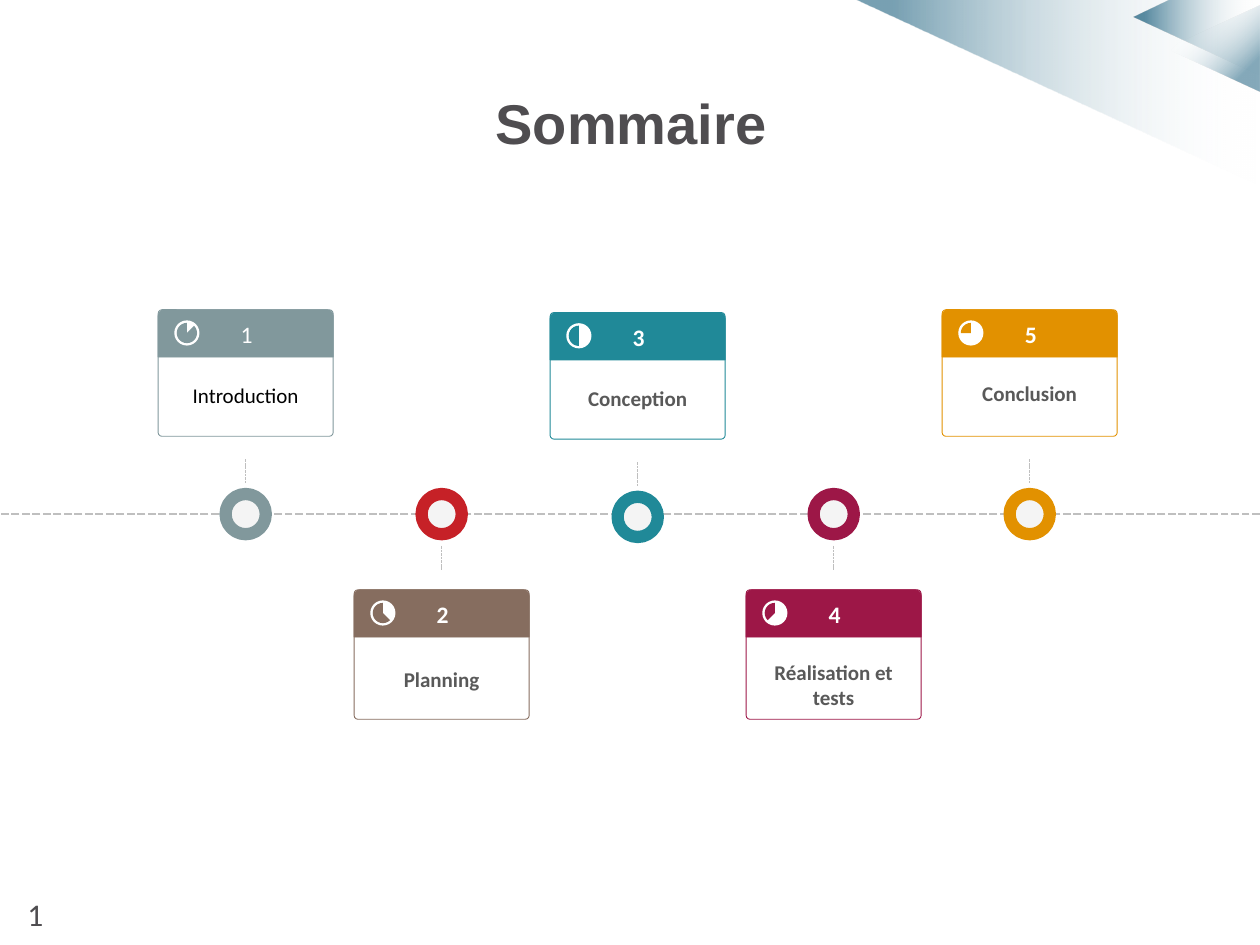
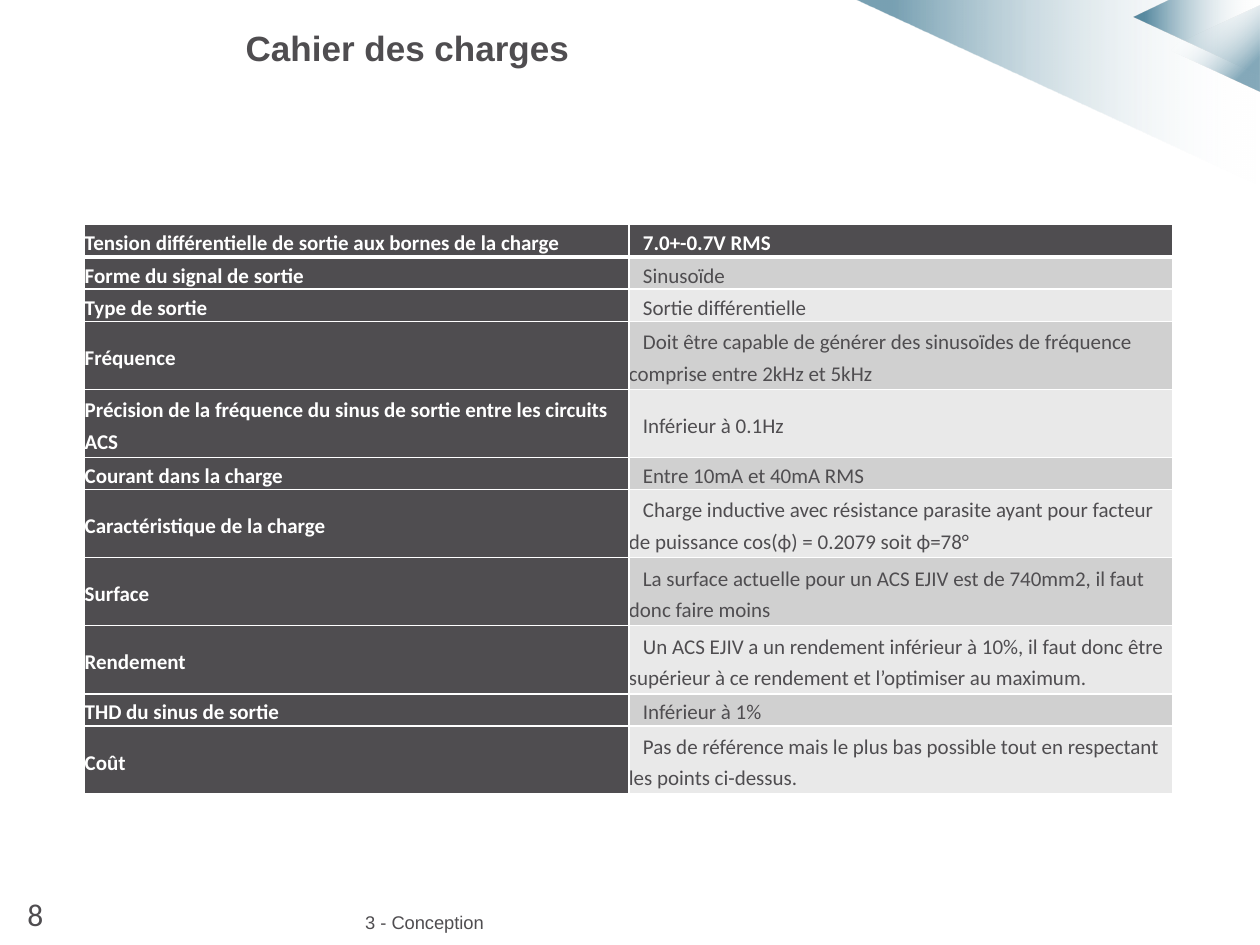
from lxml import etree
from pptx import Presentation
from pptx.dml.color import RGBColor
from pptx.enum.dml import MSO_LINE
from pptx.enum.shapes import MSO_CONNECTOR, MSO_SHAPE
from pptx.enum.text import MSO_ANCHOR, PP_ALIGN
from pptx.oxml import parse_xml
from pptx.util import Pt

LEFT, CENTER = PP_ALIGN.LEFT, PP_ALIGN.CENTER
TOP, MIDDLE = MSO_ANCHOR.TOP, MSO_ANCHOR.MIDDLE
STRAIGHT = MSO_CONNECTOR.STRAIGHT
DASH = MSO_LINE.SQUARE_DOT
ELLIPSE, PIE = MSO_SHAPE.OVAL, MSO_SHAPE.PIE
CARD, BAND = MSO_SHAPE.ROUNDED_RECTANGLE, MSO_SHAPE.ROUND_2_SAME_RECTANGLE

DARK, WHITE, GREY, LABEL = "4F4D50", "FFFFFF", "BFBFBF", "595959"
DRAWING = "http://schemas.openxmlformats.org/drawingml/2006/main"


def paint(shape, fill=None, line=None, width=0.5):
    """Set fill and line from hex strings; None means nothing is drawn."""
    shape.shadow.inherit = False
    for part, color in ((shape.fill, fill), (shape.line.fill, line)):
        if color:
            part.solid()
            part.fore_color.rgb = RGBColor.from_string(color)
        else:
            part.background()
    if line:
        shape.line.width = Pt(width)


def write(frame, text, size, color, bold=False, align=LEFT, font="Calibri"):
    """Fill a text frame with one formatted paragraph and return it."""
    frame.text = text
    frame.word_wrap = True
    para = frame.paragraphs[0]
    para.alignment = align
    for span in para.runs:
        span.font.name, span.font.size, span.font.bold = font, Pt(size), bold
        span.font.color.rgb = RGBColor.from_string(color)
    return para


deck = Presentation()
deck.slide_width, deck.slide_height = Pt(720), Pt(540)
title_only = deck.slide_layouts[5]

# Shared parts: corner triangles, title, page number
# Corner: points, gradient angle, white stop, blue stop, blue opacity
corners = [
    ([(488.9, 0), (720, 0), (719.3, 105.8)], 180, 1, 91, 53),
    ([(648, 10), (668.9, 0), (720, 0), (720, 43.2)], 180, 1, 91, 63),
    ([(666.4, 27.7), (720, 3.2), (720, 52.2)], 45, 27, 81, 48),
]
# Title: text, left, top, width, size, alignment, page number
titles = [
    ("Sommaire", 0.7, 47, 720, 32, CENTER, "1"),
    ("Cahier des charges", 133.2, 11.5, 363, 20, LEFT, "8"),
]
pages = []
for text, left, top, width, size, align, number in titles:
    page = deck.slides.add_slide(title_only)
    pages.append(page)
    for points, angle, white_stop, blue_stop, opacity in corners:
        outline = page.shapes.build_freeform(Pt(points[0][0]), Pt(points[0][1]))
        outline.add_line_segments([(Pt(x), Pt(y)) for x, y in points[1:]])
        corner = outline.convert_to_shape()
        paint(corner, WHITE)
        solid = corner._element.spPr.find(f"{{{DRAWING}}}solidFill")
        stops = "".join(
            f'<a:gs pos="{stop * 1000}"><a:srgbClr val="{color}">'
            f'<a:alpha val="{alpha * 1000}"/></a:srgbClr></a:gs>'
            for stop, color, alpha in ((white_stop, WHITE, 0), (blue_stop, "004D6F", opacity)))
        solid.getparent().replace(solid, parse_xml(
            f'<a:gradFill xmlns:a="{DRAWING}" rotWithShape="1"><a:gsLst>{stops}</a:gsLst>'
            f'<a:lin ang="{angle * 60000}" scaled="0"/></a:gradFill>'))

    title = page.shapes.title
    title.left, title.top, title.width, title.height = Pt(left), Pt(top), Pt(width), Pt(33)
    write(title.text_frame, text, size, DARK, True, align, "Arial")
    title.text_frame.vertical_anchor = TOP

    box = page.shapes.add_textbox(Pt(8.6), Pt(507.6), Pt(24), Pt(29))
    write(box.text_frame, number, 18, DARK)
    box.text_frame.word_wrap = False

summary, requirements = pages

# Summary: timeline
AXIS = 293.8
FIRST_CENTER, PITCH = 140.4, 112
CARD_WIDTH, BAND_HEIGHT = 100, 27
ICON, RIM, RING = 14.4, 1.4, 23

# Step: name, band colour, ring colour, name colour, bold, card top, name offset, pie share
steps = [
    ("Introduction", "81989C", "81989C", "000000", False, 177, 39, 0.125),
    ("Planning", "866D5F", "C62127", LABEL, True, 337, 41, 0.375),
    ("Conception", "208998", "208998", LABEL, True, 178.6, 39, 0.5),
    ("Réalisation et tests", "9D1747", "9D1747", LABEL, True, 337, 37, 0.625),
    ("Conclusion", "E29100", "E29100", LABEL, True, 177, 37.5, 0.75),
]
# Line: start x, start y, end x, end y, width
lines = [(720, AXIS, 0, AXIS, 1.5)]
for index, step in enumerate(steps):
    center = FIRST_CENTER + PITCH * index
    start = 312 if step[5] > AXIS else step[5] + 85.5
    lines.append((center, start, center, start + 14.2, 0.5))
for x1, y1, x2, y2, width in lines:
    line = summary.shapes.add_connector(STRAIGHT, Pt(x1), Pt(y1), Pt(x2), Pt(y2))
    line.line.color.rgb = RGBColor.from_string(GREY)
    line.line.width = Pt(width)
    line.line.dash_style = DASH
    etree.SubElement(line._element.spPr, f"{{{DRAWING}}}effectLst")

for index, (name, color, ring_color, name_color, bold, top, offset, share) in enumerate(steps):
    center = FIRST_CENTER + PITCH * index
    left = center - CARD_WIDTH / 2
    below = top > AXIS
    shapes = summary.shapes

    # Ring on the axis
    ring_top = AXIS - RING / 2 + (0 if below else top - 177)
    ring = shapes.add_shape(ELLIPSE, Pt(center - RING / 2), Pt(ring_top), Pt(RING), Pt(RING))
    paint(ring, "F4F4F4", ring_color, 7)

    # Card with numbered band
    card = shapes.add_shape(CARD, Pt(left), Pt(top), Pt(CARD_WIDTH), Pt(74 if below else 72.3))
    card.adjustments[0] = 0.03
    paint(card, None, color)
    band = shapes.add_shape(BAND, Pt(left), Pt(top), Pt(CARD_WIDTH), Pt(BAND_HEIGHT))
    band.adjustments[0] = 0.13
    paint(band, color, color)
    write(band.text_frame, str(index + 1), 13.5, WHITE, bold, CENTER)
    band.text_frame.vertical_anchor = MIDDLE
    band.text_frame.margin_left, band.text_frame.margin_right = Pt(12), Pt(10.8)
    band.text_frame.margin_top = band.text_frame.margin_bottom = Pt(2.9)

    box = shapes.add_textbox(Pt(left + 0.7), Pt(top + offset), Pt(98.6), Pt(20))
    frame = box.text_frame
    frame.margin_left = frame.margin_right = frame.margin_top = frame.margin_bottom = Pt(2.9)
    write(frame, name, 12, name_color, bold, CENTER)

    # Progress icon: white disc, with the remaining part in the band colour
    icon_left, icon_top, inner = left + 9.2, top + 6.1, ICON - 2 * RIM
    disc = shapes.add_shape(ELLIPSE, Pt(icon_left), Pt(icon_top), Pt(ICON), Pt(ICON))
    paint(disc, WHITE)
    rest = shapes.add_shape(PIE, Pt(icon_left + RIM), Pt(icon_top + RIM), Pt(inner), Pt(inner))
    rest.adjustments[0] = (270 + 360 * share) % 360 * 0.6
    rest.adjustments[1] = 270 * 0.6
    paint(rest, color)

# Requirements: section footer
box = requirements.shapes.add_textbox(Pt(201.6), Pt(517.7), Pt(445), Pt(18.7))
write(box.text_frame, "3 - Conception", 10.5, DARK, font="Arial")
box.text_frame.vertical_anchor = MIDDLE

# Requirements: table of criterion, value, number of text lines
rows = [
    ("Tension différentielle de sortie aux bornes de la charge", "7.0+-0.7V RMS", 1),
    ("Forme du signal de sortie", "Sinusoïde", 1),
    ("Type de sortie", "Sortie différentielle", 1),
    ("Fréquence", "Doit être capable de générer des sinusoïdes de fréquence "
     "comprise entre 2kHz et 5kHz", 2),
    ("Précision de la fréquence du sinus de sortie entre les circuits ACS",
     "Inférieur à 0.1Hz", 2),
    ("Courant dans la charge", "Entre 10mA et 40mA RMS", 1),
    ("Caractéristique de la charge", "Charge inductive avec résistance parasite ayant pour "
     "facteur de puissance cos(ϕ) = 0.2079 soit ϕ=78°", 2),
    ("Surface", "La surface actuelle pour un ACS EJIV est de 740mm2, il faut donc faire moins", 2),
    ("Rendement", "Un ACS EJIV a un rendement inférieur à 10%, il faut donc être "
     "supérieur à ce rendement et l’optimiser au maximum.", 2),
    ("THD du sinus de sortie", "Inférieur à 1%", 1),
    ("Coût", "Pas de référence mais le plus bas possible tout en respectant "
     "les points ci-dessus.", 2),
]
HEIGHTS = {1: 18.4, 2: 38.9}
table = requirements.shapes.add_table(
    len(rows), 2, Pt(48.4), Pt(128.4), Pt(622), Pt(sum(HEIGHTS[row[2]] for row in rows))).table
for column in table.columns:
    column.width = Pt(311)

for row_index, (criterion, value, line_count) in enumerate(rows):
    table.rows[row_index].height = Pt(HEIGHTS[line_count])
    for column_index, text in enumerate((criterion, value)):
        cell = table.cell(row_index, column_index)
        strong = row_index == 0 or column_index == 0
        fill = DARK if strong else ("E9E9E9", "D0D0D0")[row_index % 2]
        cell.fill.solid()
        cell.fill.fore_color.rgb = RGBColor.from_string(fill)
        cell.vertical_anchor = MIDDLE
        cell.margin_left = cell.margin_right = cell.margin_top = cell.margin_bottom = 0
        para = write(cell.text_frame, text, 12, WHITE if strong else DARK, strong)
        para.line_spacing, para.space_after = Pt(18), Pt(3)
        if column_index == 1:
            para._p.get_or_add_pPr().set("indent", str(Pt(8)))

        # White borders, thicker under the header row
        widths = {"L": 1, "R": 1, "T": 3 if row_index == 1 else 1, "B": 3 if row_index == 0 else 1}
        for position, (side, width) in enumerate(widths.items()):
            cell._tc.get_or_add_tcPr().insert(position, parse_xml(
                f'<a:ln{side} xmlns:a="{DRAWING}" w="{Pt(width)}"><a:solidFill>'
                f'<a:srgbClr val="{WHITE}"/></a:solidFill></a:ln{side}>'))

deck.save("out.pptx")
